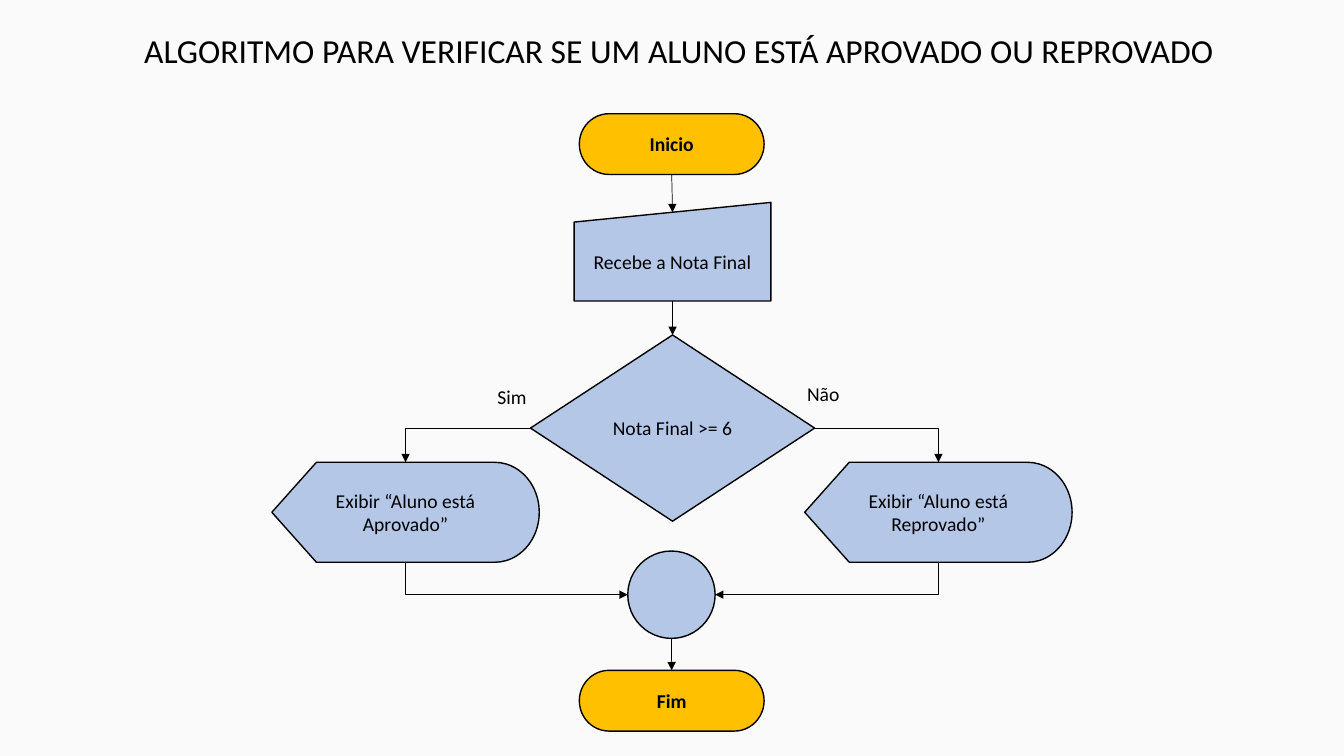
from dataclasses import dataclass

from pptx import Presentation
from pptx.dml.color import RGBColor
from pptx.enum.shapes import MSO_CONNECTOR as Connector, MSO_SHAPE as Shape
from pptx.enum.text import MSO_ANCHOR as Anchor, PP_ALIGN as Align
from pptx.oxml.ns import qn
from pptx.util import Pt
from lxml.etree import SubElement

TOP, LEFT, BOTTOM, RIGHT = range(4)


@dataclass(frozen=True)
class Theme:
    font: str = "Calibri"
    background: RGBColor = RGBColor(0xFA, 0xFA, 0xFA)
    ink: RGBColor = RGBColor(0, 0, 0)
    terminal: RGBColor = RGBColor(0xFF, 0xC0, 0)
    step: RGBColor = RGBColor(0xB4, 0xC7, 0xE7)
    title_size: int = 24
    body_size: int = 14
    outline: float = 1
    flow_line: float = 0.5


def apply(target, values):
    for name, value in values.items():
        setattr(target, name, value)


class Flowchart:
    def __init__(self, slide, theme):
        self.slide = slide
        self.theme = theme
        slide.background.fill.solid()
        slide.background.fill.fore_color.rgb = theme.background

    def fill_text(self, shape, text, size, align, anchor, bold=False):
        apply(shape.text_frame, {"word_wrap": True, "vertical_anchor": anchor})
        paragraph = shape.text_frame.paragraphs[0]
        paragraph.alignment = align
        run = paragraph.add_run()
        run.text = text
        apply(run.font, {"name": self.theme.font, "size": Pt(size), "bold": bold})
        run.font.color.rgb = self.theme.ink

    def label(self, text, box, size, align=Align.LEFT):
        shape = self.slide.shapes.add_textbox(*map(Pt, box))
        self.fill_text(shape, text, size, align, Anchor.TOP)

    def node(self, kind, box, fill, text="", bold=False):
        shape = self.slide.shapes.add_shape(kind, *map(Pt, box))
        shape.shadow.inherit = False
        shape.fill.solid()
        shape.fill.fore_color.rgb = fill
        shape.line.color.rgb = self.theme.ink
        shape.line.width = Pt(self.theme.outline)
        if text:
            self.fill_text(shape, text, self.theme.body_size, Align.CENTER, Anchor.MIDDLE, bold)
        return shape

    def side_point(self, shape, side):
        x = {LEFT: shape.left, RIGHT: shape.left + shape.width}
        y = {TOP: shape.top, BOTTOM: shape.top + shape.height}
        return (x.get(side, shape.left + shape.width // 2),
                y.get(side, shape.top + shape.height // 2))

    def arrow(self, start, start_side, end, end_side, bent=False, tip="tailEnd"):
        kind = Connector.ELBOW if bent else Connector.STRAIGHT
        connector = self.slide.shapes.add_connector(
            kind, *self.side_point(start, start_side), *self.side_point(end, end_side))
        if start.auto_shape_type != Shape.OVAL:
            connector.begin_connect(start, start_side)
        if end.auto_shape_type != Shape.OVAL:
            connector.end_connect(end, end_side)
        if end.auto_shape_type == Shape.FLOWCHART_MANUAL_INPUT:
            connector.end_y = end.top + end.height // 10
        connector.line.color.rgb = self.theme.ink
        connector.line.width = Pt(self.theme.flow_line)
        properties = connector._element.spPr
        if bent:
            properties.find(qn("a:prstGeom")).set("prst", "bentConnector2")
        SubElement(properties.find(qn("a:ln")), qn(f"a:{tip}"), type="triangle")
        SubElement(properties, qn("a:effectLst"))


def main():
    presentation = Presentation()
    apply(presentation, {"slide_width": Pt(960), "slide_height": Pt(540)})
    theme = Theme()
    chart = Flowchart(presentation.slides.add_slide(presentation.slide_layouts[6]), theme)

    chart.label("ALGORITMO PARA VERIFICAR SE UM ALUNO ESTÁ APROVADO OU REPROVADO",
                (4.8, 18, 960, 36), theme.title_size, Align.CENTER)

    begin, finish = [
        chart.node(Shape.FLOWCHART_TERMINATOR, (413.8, top, 132, 43.4), theme.terminal, text, True)
        for text, top in (("Inicio", 81.2), ("Fim", 478.8))]
    grade = chart.node(Shape.FLOWCHART_MANUAL_INPUT, (410.1, 144.6, 140.6, 70.4),
                       theme.step, "Recebe a Nota Final")
    decision = chart.node(Shape.FLOWCHART_DECISION, (378.9, 239.3, 203, 133),
                          theme.step, "Nota Final >= 6")
    passed, failed = [
        chart.node(Shape.FLOWCHART_DISPLAY, (left, 330.2, 191, 71.4),
                   theme.step, f"Exibir “Aluno está {result}”")
        for result, left in (("Aprovado", 194.2), ("Reprovado", 574.8))]
    junction = chart.node(Shape.OVAL, (448.4, 393.6, 62.4, 62.4), theme.step)

    chart.arrow(begin, BOTTOM, grade, TOP)
    chart.arrow(grade, BOTTOM, decision, TOP)
    for side, display in ((LEFT, passed), (RIGHT, failed)):
        chart.arrow(decision, side, display, TOP, bent=True)
        chart.arrow(junction, side, display, BOTTOM, bent=True, tip="headEnd")
    chart.arrow(junction, BOTTOM, finish, TOP)

    for text, left, top in (("Sim", 348.2, 271.6), ("Não", 569.4, 269.4)):
        chart.label(text, (left, top, 42, 24.4), theme.body_size)

    presentation.save("out.pptx")


if __name__ == "__main__":
    main()
